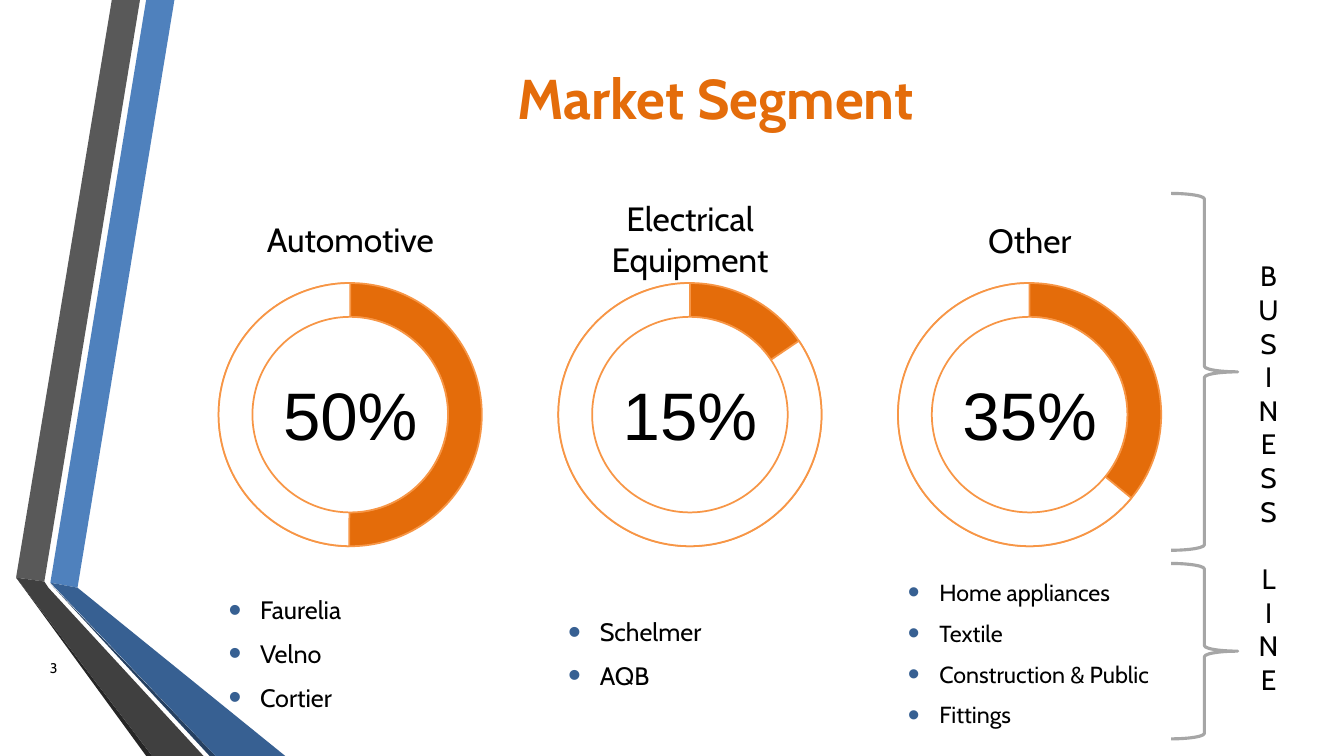
from lxml import etree
from pptx import Presentation
from pptx.dml.color import RGBColor
from pptx.enum import shapes, text
from pptx.oxml import ns
from pptx.util import Pt

HUES = {
    "orange": "E46C0A", "rim": "F79646", "white": "FFFFFF", "black": "000000",
    "blue": "4F81BD", "navy": "376092", "deep": "254061",
    "gray": "595959", "dark": "404040", "soot": "262626", "brace": "A6A6A6",
}
KIND = shapes.MSO_SHAPE
LEFT, STEP, RING, HOLE = 156.2, 242.64, 188, 139.7

# Ribbon on the left edge: colour and corner points
BANDS = [
    ("blue", [(36, 416.2), (55.4, 419.8), (124.6, 0), (104.4, 0)]),
    ("gray", [(100, 0), (79.9, 0), (11.5, 412.6), (31.7, 415.4)]),
    ("soot", [(11.5, 412.6), (104.4, 540), (108.7, 540)]),
    ("deep", [(36, 416.9), (149.8, 540), (154.1, 540)]),
    ("navy", [(36, 416.2), (154.1, 540), (203.8, 540), (55.4, 419.8)]),
    ("dark", [(145.4, 540), (34.6, 419.8), (31.7, 415.4), (11.5, 412.6),
              (108.7, 540)]),
]

# Heading, its top, share, angle where the share ends, clients, list size
PARTS = [
    ("Automotive", 152.6, "50%", 54.27, ["Faurelia", "Velno", "Cortier"], 18),
    ("Electrical\nEquipment", 138.2, "15%", 195.55, ["Schelmer", "AQB"], 18),
    ("Other", 153.4, "35%", 23.6,
     ["Home appliances", "Textile", "Construction & Public", "Fittings"], 16.6),
]


def color(name):
    return RGBColor.from_string(HUES[name])


def style(frame, size, hue="black", font="Cabin", bold=False,
          align=text.PP_ALIGN.CENTER):
    for para in frame.paragraphs:
        para.alignment = align
        for run in para.runs:
            run.font.size = Pt(size)
            run.font.name = font
            run.font.bold = bold
            run.font.color.rgb = color(hue)


def add_text(slide, words, box, size, anchor=text.MSO_ANCHOR.TOP, **look):
    frame = slide.shapes.add_textbox(*map(Pt, box)).text_frame
    frame.word_wrap = True
    frame.vertical_anchor = anchor
    frame.text = words
    style(frame, size, **look)
    return frame


def add_band(slide, hue, points):
    pen = slide.shapes.build_freeform(Pt(points[0][0]), Pt(points[0][1]))
    pen.add_line_segments([(Pt(x), Pt(y)) for x, y in points[1:]])
    band = pen.convert_to_shape()
    band.shadow.inherit = False
    band.fill.solid()
    band.fill.fore_color.rgb = color(hue)
    band.line.fill.background()


def add_form(slide, kind, box, fill=None, line="rim", width=1.25, adjust=()):
    form = slide.shapes.add_shape(kind, *map(Pt, box))
    form.shadow.inherit = False
    for i, value in enumerate(adjust):
        form.adjustments[i] = value
    if fill:
        form.fill.solid()
        form.fill.fore_color.rgb = color(fill)
    else:
        form.fill.background()
    form.line.color.rgb = color(line)
    form.line.width = Pt(width)


def add_ring(slide, left, share, angle):
    top, gap = 202.2, (RING - HOLE) / 2
    box = (left, top, RING, RING)
    add_form(slide, KIND.DONUT, box, "orange", adjust=[0.129])
    add_form(slide, KIND.PIE, box, "white", adjust=[angle, 162])
    add_form(slide, KIND.OVAL, (left + gap, top + gap, HOLE, HOLE), "white")
    add_text(slide, share, (left + RING / 2 - 55.4, 262.8, 110.8, 65.5), 48,
             font="Arial")


def add_bullet(para):
    props = para._p.get_or_add_pPr()
    props.set("marL", str(Pt(22.5)))
    props.set("indent", str(-Pt(22.5)))
    tint = etree.SubElement(props, ns.qn("a:buClr"))
    etree.SubElement(tint, ns.qn("a:srgbClr"), val=HUES["navy"])
    etree.SubElement(props, ns.qn("a:buSzPct"), val="145000")
    etree.SubElement(props, ns.qn("a:buFont"), typeface="Arial")
    etree.SubElement(props, ns.qn("a:buChar"), char="•")


def add_list(slide, items, left, size):
    frame = add_text(slide, "\n".join(items), (left, 402.5, RING, 128.2), size,
                     text.MSO_ANCHOR.MIDDLE, align=text.PP_ALIGN.LEFT)
    for i, para in enumerate(frame.paragraphs):
        add_bullet(para)
        para.space_after = Pt(6)
        if i:
            para.space_before = Pt(size * 0.2)


def add_side(slide):
    for top, height in [(138.2, 254.9), (402.5, 125.3)]:
        add_form(slide, KIND.RIGHT_BRACE, (836.6, top, 47.5, height),
                 line="brace", width=2.25)
    words = ["BUSINESS", "LINE"]
    frame = add_text(slide, "\n".join("".join(words)),
                     (892.1, 181.4, 28.1, 322.6), 20)
    frame.margin_left = frame.margin_right = 0
    frame.paragraphs[len(words[0])].space_before = Pt(24)


def main():
    deck = Presentation()
    deck.slide_width, deck.slide_height = Pt(960), Pt(540)
    slide = deck.slides.add_slide(deck.slide_layouts[5])

    for hue, points in BANDS:
        add_band(slide, hue, points)

    # Title
    title = slide.shapes.title
    title.left, title.top = Pt(116.6), Pt(0)
    title.width, title.height = Pt(789.1), Pt(138.2)
    title.text_frame.text = "Market Segment"
    title.text_frame.vertical_anchor = text.MSO_ANCHOR.MIDDLE
    style(title.text_frame, 40, "orange", bold=True)

    # Segments
    for i, (name, top, share, angle, items, size) in enumerate(PARTS):
        left = LEFT + i * STEP
        add_ring(slide, left, share, angle)
        add_text(slide, name, (left - 6.4, top, 200.9, 36), 24)
        add_list(slide, items, left, size)

    # Braces, side label and page number
    add_side(slide)
    add_text(slide, "3", (5, 463, 43.2, 28.8), 10, text.MSO_ANCHOR.MIDDLE,
             align=text.PP_ALIGN.RIGHT)
    deck.save("out.pptx")


if __name__ == "__main__":
    main()
